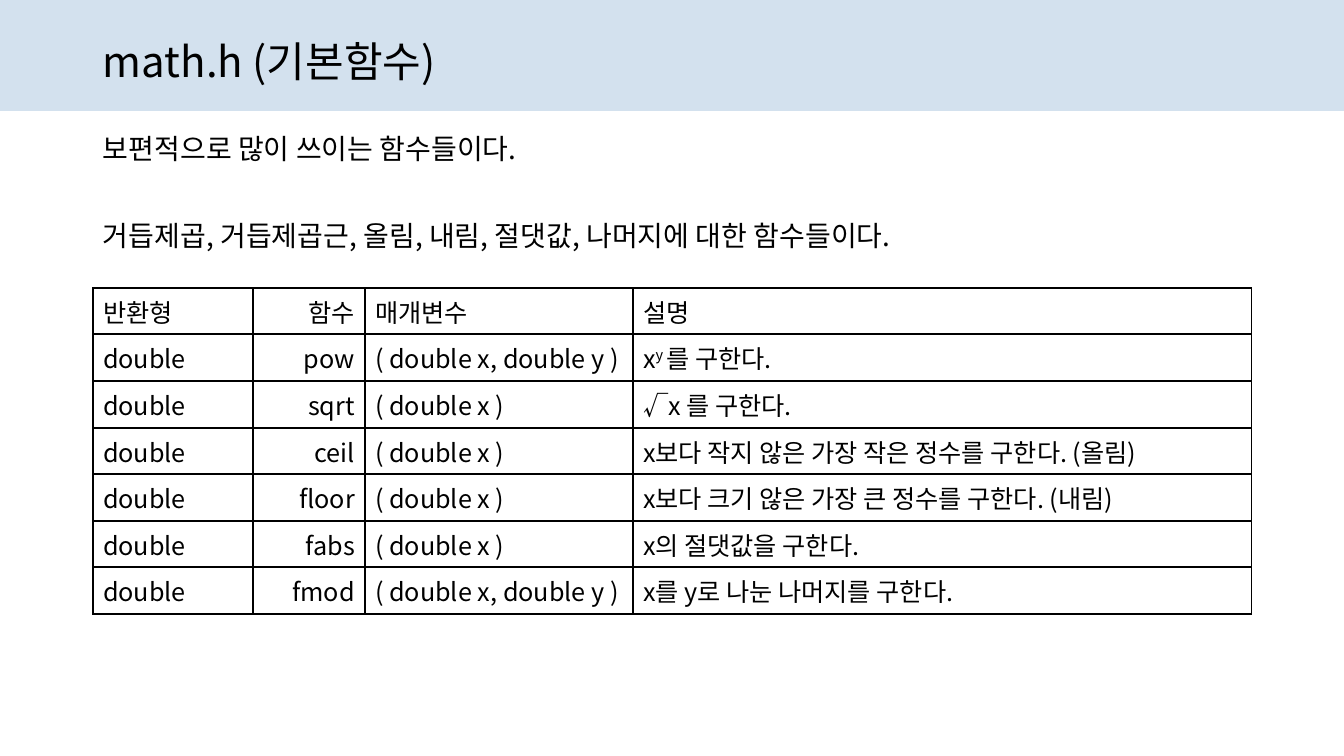
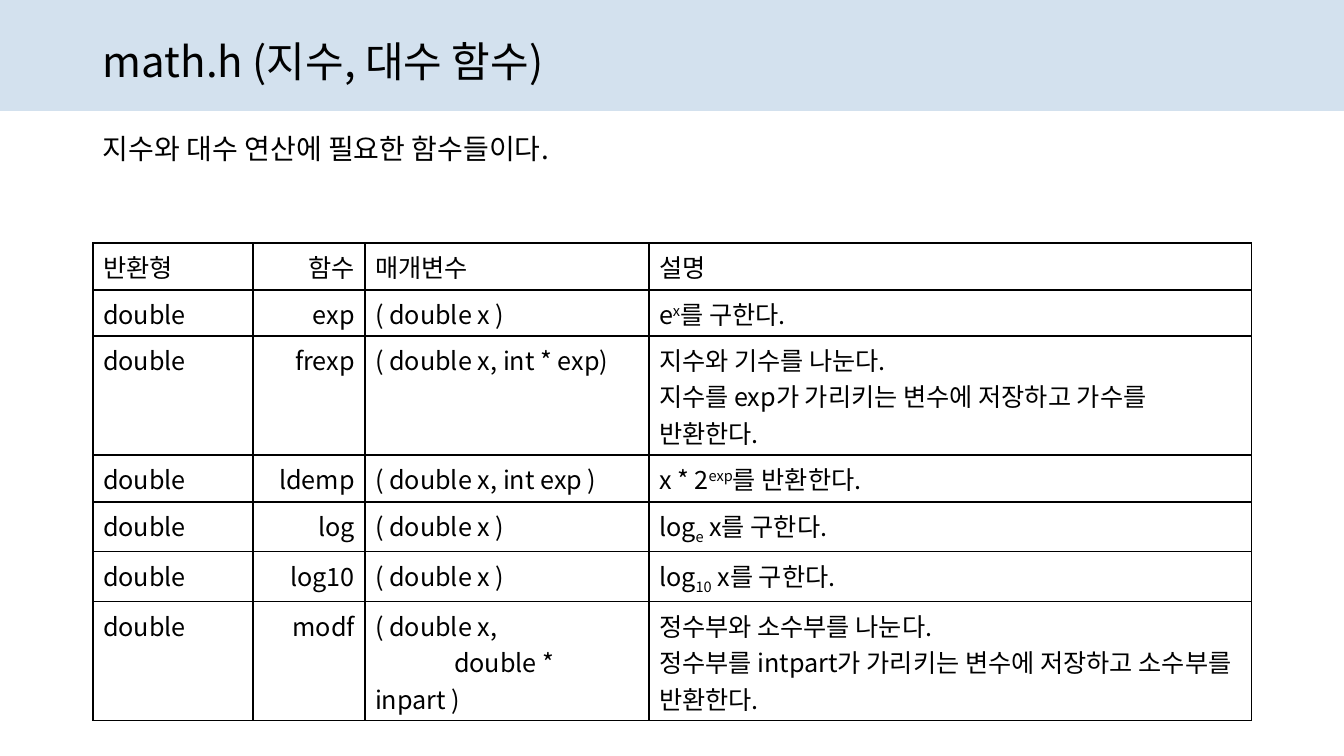
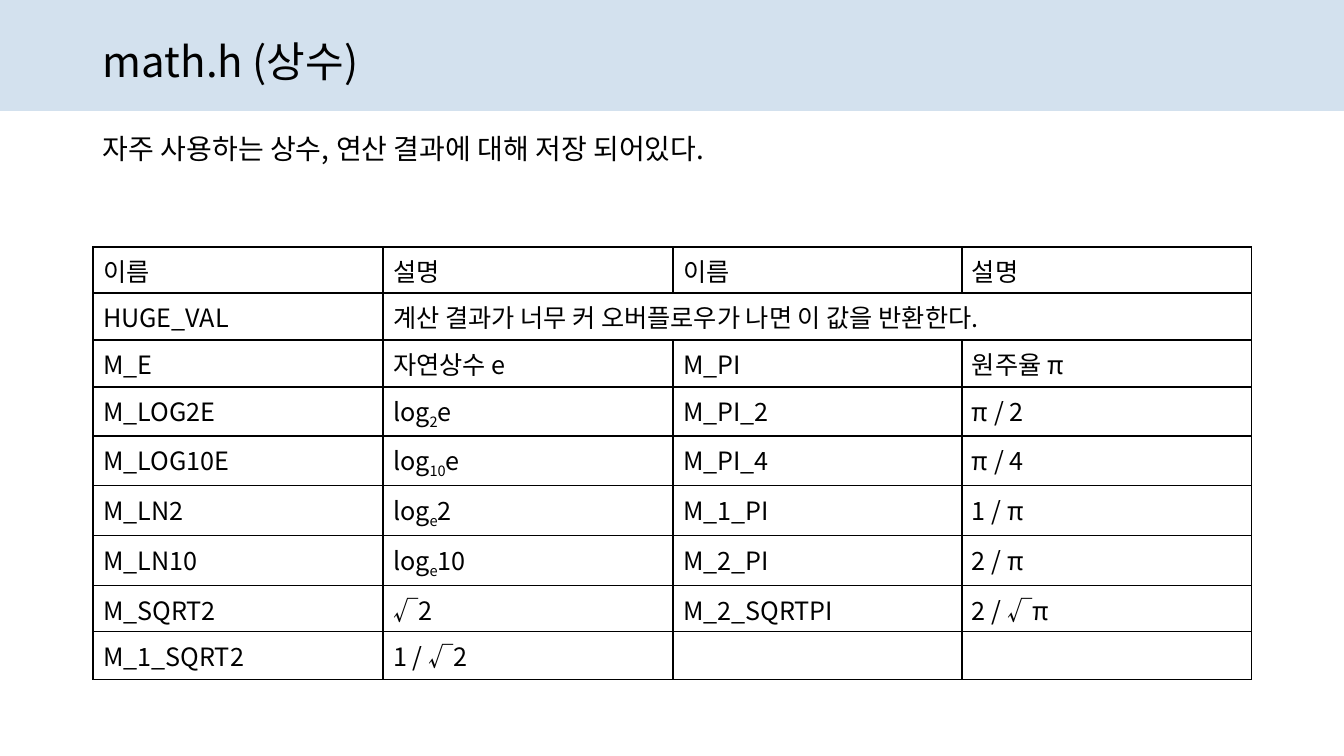
from dataclasses import dataclass
from itertools import pairwise
from typing import Any

from pptx import Presentation
from pptx.dml.color import RGBColor as RGB
from pptx.enum.shapes import MSO_SHAPE as Shape
from pptx.enum.text import MSO_ANCHOR as Anchor, PP_ALIGN as Align
from pptx.oxml import parse_xml
from pptx.oxml.ns import nsdecls
from pptx.util import Emu, Pt

PX = 914400 / 100.8
FONT = "Noto Sans CJK KR"
BLACK, BAND = "000000", "D3E1EE"
LEFT, WIDTH = 93, 1159
INDENT = 79
LINE_SPACING = 0.9
BODY_GAP = Pt(41)


def px(n: int) -> Emu:
    return Emu(round(n * PX))


def color(value: str) -> RGB:
    return RGB.from_string(value)


def apply(target: Any, values: dict[str, Any]) -> None:
    for name, value in values.items():
        setattr(target, name, value)


@dataclass(frozen=True)
class Grid:
    edges: tuple[int, ...]
    cols: tuple[int, ...]
    rows: list[tuple[str, ...]]
    right_col: int | None = None


@dataclass(frozen=True)
class Page:
    title: str
    body: tuple[str, ...]
    grid: Grid


def add_runs(p: Any, text: str, size: int) -> None:
    for i, part in enumerate(text.replace("}", "{").split("{")):
        if not part:
            continue
        script = i % 2 == 1
        r = p.add_run()
        r.text = part[1:] if script else part
        apply(r.font, dict(name=FONT, size=Pt(size)))
        r.font.color.rgb = color(BLACK)
        if script:
            r.font._element.set("baseline", "30000" if part[0] == "^" else "-25000")


def add_text(slide: Any, top: int, height: int, lines: tuple[str, ...],
             size: int, anchor: Any) -> None:
    tf = slide.shapes.add_textbox(px(LEFT), px(top), px(WIDTH), px(height)).text_frame
    apply(tf, dict(word_wrap=True, vertical_anchor=anchor))
    for i, line in enumerate(lines):
        p = tf.add_paragraph() if i else tf.paragraphs[0]
        apply(p, dict(line_spacing=LINE_SPACING, space_before=BODY_GAP if i else Pt(0)))
        add_runs(p, line, size)


def add_band(slide: Any) -> None:
    sp = slide.shapes.add_shape(Shape.RECTANGLE, 0, 0, px(1344), px(111))
    sp.shadow.inherit = False
    sp.fill.solid()
    sp.fill.fore_color.rgb = color(BAND)
    sp.line.fill.background()


def style_cell(cell: Any) -> None:
    tcpr = cell._tc.get_or_add_tcPr()
    for side in "LRTB":
        tcpr.append(parse_xml(
            f'<a:ln{side} {nsdecls("a")} w="12700"><a:solidFill>'
            f'<a:srgbClr val="{BLACK}"/></a:solidFill></a:ln{side}>'))
    cell.fill.background()


def fill_cell(cell: Any, text: str, align: Any) -> None:
    tf = cell.text_frame
    for i, line in enumerate(text.split("\n")):
        p = tf.add_paragraph() if i else tf.paragraphs[0]
        p.alignment = align
        if line.startswith("\t"):
            p._p.get_or_add_pPr().set("indent", str(px(INDENT)))
        add_runs(p, line.lstrip("\t"), 18)


def add_grid(slide: Any, grid: Grid) -> None:
    n_rows, n_cols = len(grid.rows), len(grid.cols)
    top, bottom = grid.edges[0], grid.edges[-1]
    table = slide.shapes.add_table(n_rows, n_cols, px(LEFT), px(top),
                                   px(sum(grid.cols)), px(bottom - top)).table
    apply(table, dict(first_row=False, horz_banding=False))
    for col, width in zip(table.columns, grid.cols):
        col.width = px(width)
    for row, (upper, lower) in zip(table.rows, pairwise(grid.edges)):
        row.height = px(lower - upper)
    for y, texts in enumerate(grid.rows):
        for x in range(n_cols):
            style_cell(table.cell(y, x))
        if len(texts) < n_cols:
            table.cell(y, len(texts) - 1).merge(table.cell(y, n_cols - 1))
        for x, text in enumerate(texts):
            fill_cell(table.cell(y, x), text,
                      Align.RIGHT if x == grid.right_col else Align.LEFT)


def function_grid(edges: tuple[int, ...], cols: tuple[int, ...],
                  functions: list[tuple[str, str, str]]) -> Grid:
    header = ("반환형", "함수", "매개변수", "설명")
    return Grid(edges, cols, [header] + [("double", *f) for f in functions], 1)


ONE, TWO = "( double x )", "( double x, double y )"

PAGES = [
    Page("math.h (기본함수)",
         ("보편적으로 많이 쓰이는 함수들이다.",
          "거듭제곱, 거듭제곱근, 올림, 내림, 절댓값, 나머지에 대한 함수들이다."),
         function_grid((288, 334, 381, 428, 474, 521, 567, 614), (160, 112, 268, 619), [
             ("pow", TWO, "x{^y }를 구한다."),
             ("sqrt", ONE, "√x 를 구한다."),
             ("ceil", ONE, "x보다 작지 않은 가장 작은 정수를 구한다. (올림)"),
             ("floor", ONE, "x보다 크기 않은 가장 큰 정수를 구한다. (내림)"),
             ("fabs", ONE, "x의 절댓값을 구한다."),
             ("fmod", TWO, "x를 y로 나눈 나머지를 구한다."),
         ])),
    Page("math.h (지수, 대수 함수)",
         ("지수와 대수 연산에 필요한 함수들이다.",),
         function_grid((243, 290, 336, 455, 502, 552, 602, 721), (160, 112, 284, 603), [
             ("exp", ONE, "e{^x}를 구한다."),
             ("frexp", "( double x, int * exp)",
              "지수와 기수를 나눈다.\n"
              "지수를 exp가 가리키는 변수에 저장하고 가수를 반환한다."),
             ("ldemp", "( double x, int exp )", "x * 2{^exp}를 반환한다."),
             ("log", ONE, "log{_e}\u00a0x를 구한다."),
             ("log10", ONE, "log{_10}\u00a0x를 구한다."),
             ("modf", "( double x, \n\tdouble * inpart )",
              "정수부와 소수부를 나눈다.\n"
              "정수부를 intpart가 가리키는 변수에 저장하고 소수부를 반환한다."),
         ])),
    Page("math.h (상수)",
         ("자주 사용하는 상수, 연산 결과에 대해 저장 되어있다.",),
         Grid((247, 293, 340, 387, 436, 486, 536, 586, 632, 680), (290, 290, 289, 290), [
             ("이름", "설명") * 2,
             ("HUGE_VAL", "계산 결과가 너무 커 오버플로우가 나면 이 값을 반환한다."),
             ("M_E", "자연상수 e", "M_PI", "원주율 π"),
             ("M_LOG2E", "log{_2}e", "M_PI_2", "π / 2"),
             ("M_LOG10E", "log{_10}e", "M_PI_4", "π / 4"),
             ("M_LN2", "log{_e}2", "M_1_PI", "1 / π"),
             ("M_LN10", "log{_e}10", "M_2_PI", "2 / π"),
             ("M_SQRT2", "√2", "M_2_SQRTPI", "2 / √π"),
             ("M_1_SQRT2", "1 / √2", "", ""),
         ])),
]


def main() -> None:
    prs = Presentation()
    apply(prs, dict(slide_width=px(1344), slide_height=px(756)))
    for page in PAGES:
        s = prs.slides.add_slide(prs.slide_layouts[6])
        add_band(s)
        add_text(s, 40, 47, (page.title,), 30, Anchor.MIDDLE)
        add_text(s, 130, 603, page.body, 20, Anchor.TOP)
        add_grid(s, page.grid)
    prs.save("out.pptx")


main()
